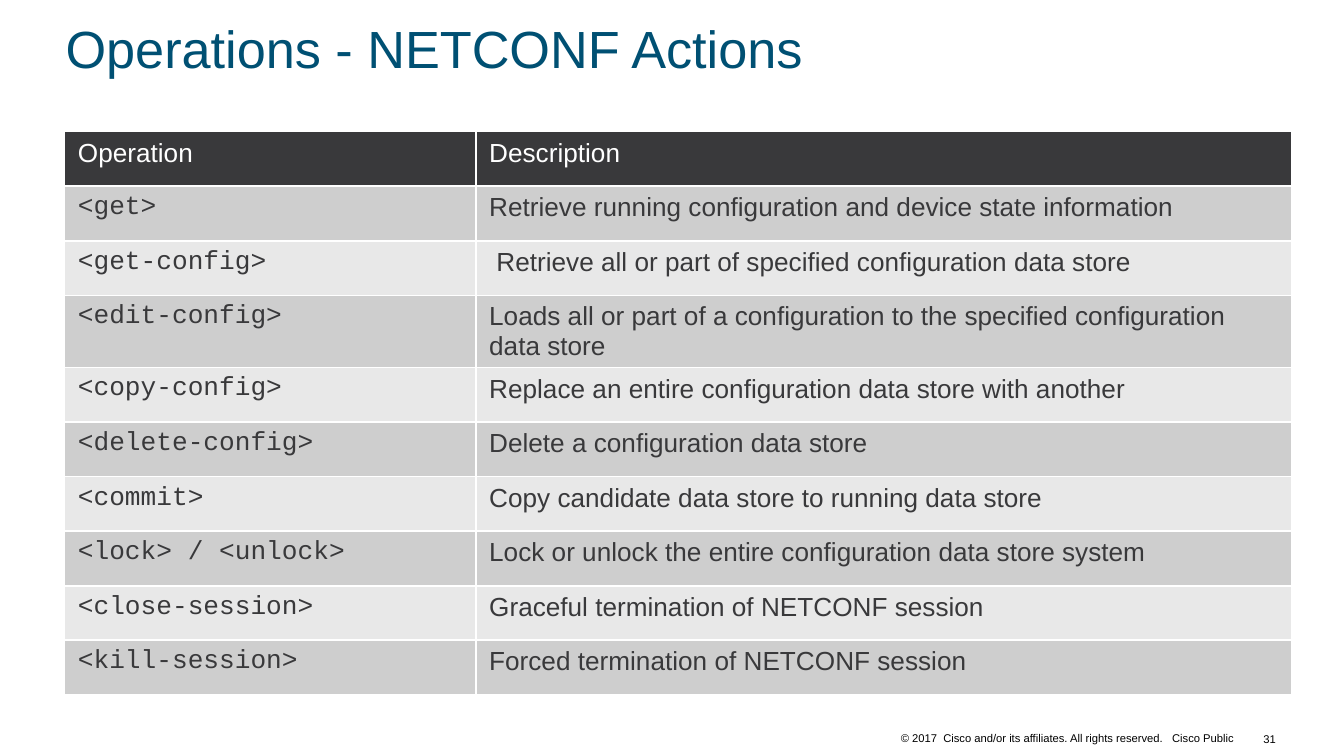
import pptx
import pptx.dml.color
import pptx.enum.text
import pptx.oxml
import pptx.oxml.ns
import pptx.util
from pptx.util import Inches

RGBColor = pptx.dml.color.RGBColor
Anchor = pptx.enum.text.MSO_ANCHOR
Align = pptx.enum.text.PP_ALIGN

WHITE = RGBColor(0xFF, 0xFF, 0xFF)
BLACK = RGBColor(0x00, 0x00, 0x00)
TITLE_BLUE = RGBColor(0x00, 0x50, 0x73)
CHARCOAL = RGBColor(0x39, 0x39, 0x3B)
DARK_BAND = RGBColor(0xCE, 0xCE, 0xCE)
LIGHT_BAND = RGBColor(0xE8, 0xE8, 0xE8)

OPERATIONS = [
    ("Operation", "Description"),
    ("<get>", "Retrieve running configuration and device state information"),
    ("<get-config>", " Retrieve all or part of specified configuration data store"),
    ("<edit-config>", "Loads all or part of a configuration to the specified configuration data store"),
    ("<copy-config>", "Replace an entire configuration data store with another"),
    ("<delete-config>", "Delete a configuration data store"),
    ("<commit>", "Copy candidate data store to running data store"),
    ("<lock> / <unlock>", "Lock or unlock the entire configuration data store system"),
    ("<close-session>", "Graceful termination of NETCONF session"),
    ("<kill-session>", "Forced termination of NETCONF session"),
]


def write_text(frame, text, size, color, font="Arial"):
    frame.text = text
    span = frame.paragraphs[0].runs[0]
    span.font.size = pptx.util.Pt(size)
    span.font.name = font
    span.font.color.rgb = color


def add_text(page, place, text, size, color, anchor, align):
    box = page.shapes.add_textbox(*[Inches(length) for length in place])
    frame = box.text_frame
    frame.word_wrap = True
    frame.vertical_anchor = anchor
    write_text(frame, text, size, color)
    frame.paragraphs[0].alignment = align
    return frame


# Widescreen page, 16 by 9
deck = pptx.Presentation()
deck.slide_width = Inches(10)
deck.slide_height = deck.slide_width * 9 // 16
page = deck.slides.add_slide(deck.slide_layouts[6])

# Title
title = add_text(page, (0.39, 0.16, 9.31, 0.48), "Operations - NETCONF Actions",
                 28, TITLE_BLUE, Anchor.BOTTOM, Align.LEFT)
title.paragraphs[0].line_spacing = 0.9

# Table of operations
table_height = Inches(4.06)
table = page.shapes.add_table(len(OPERATIONS), 2, Inches(0.48), Inches(0.98),
                              Inches(9.13), table_height).table
table.columns[0].width = Inches(3.06)
table.columns[1].width = Inches(6.07)

for row, texts in enumerate(OPERATIONS):
    table.rows[row].height = table_height // len(OPERATIONS)
    for column, text in enumerate(texts):
        cell = table.cell(row, column)
        cell.margin_bottom = Inches(0.02)
        is_header = row == 0
        font = "Courier New" if column == 0 and not is_header else "Arial"
        write_text(cell.text_frame, text, 14, WHITE if is_header else CHARCOAL, font)

        # White cell borders go before the fill
        properties = cell._tc.get_or_add_tcPr()
        for side in ("lnL", "lnR", "lnT", "lnB"):
            properties.append(pptx.oxml.parse_xml(
                f'<a:{side} {pptx.oxml.ns.nsdecls("a")} w="12700"><a:solidFill>'
                f'<a:srgbClr val="{WHITE}"/></a:solidFill></a:{side}>'))
        cell.fill.solid()
        band = DARK_BAND if row % 2 else LIGHT_BAND
        cell.fill.fore_color.rgb = CHARCOAL if is_header else band

# Footer and page number
footer = add_text(page, (6.55, 5.4, 2.7, 0.17),
                  "© 2017  Cisco and/or its affiliates. All rights reserved.   Cisco Public",
                  6, BLACK, Anchor.BOTTOM, Align.RIGHT)
footer.margin_left = footer.margin_right = Inches(0.07)
footer.margin_top = footer.margin_bottom = Inches(0.03)
add_text(page, (9.2, 5.35, 0.39, 0.3), "31", 6, BLACK, Anchor.MIDDLE, Align.RIGHT)

deck.save("out.pptx")
